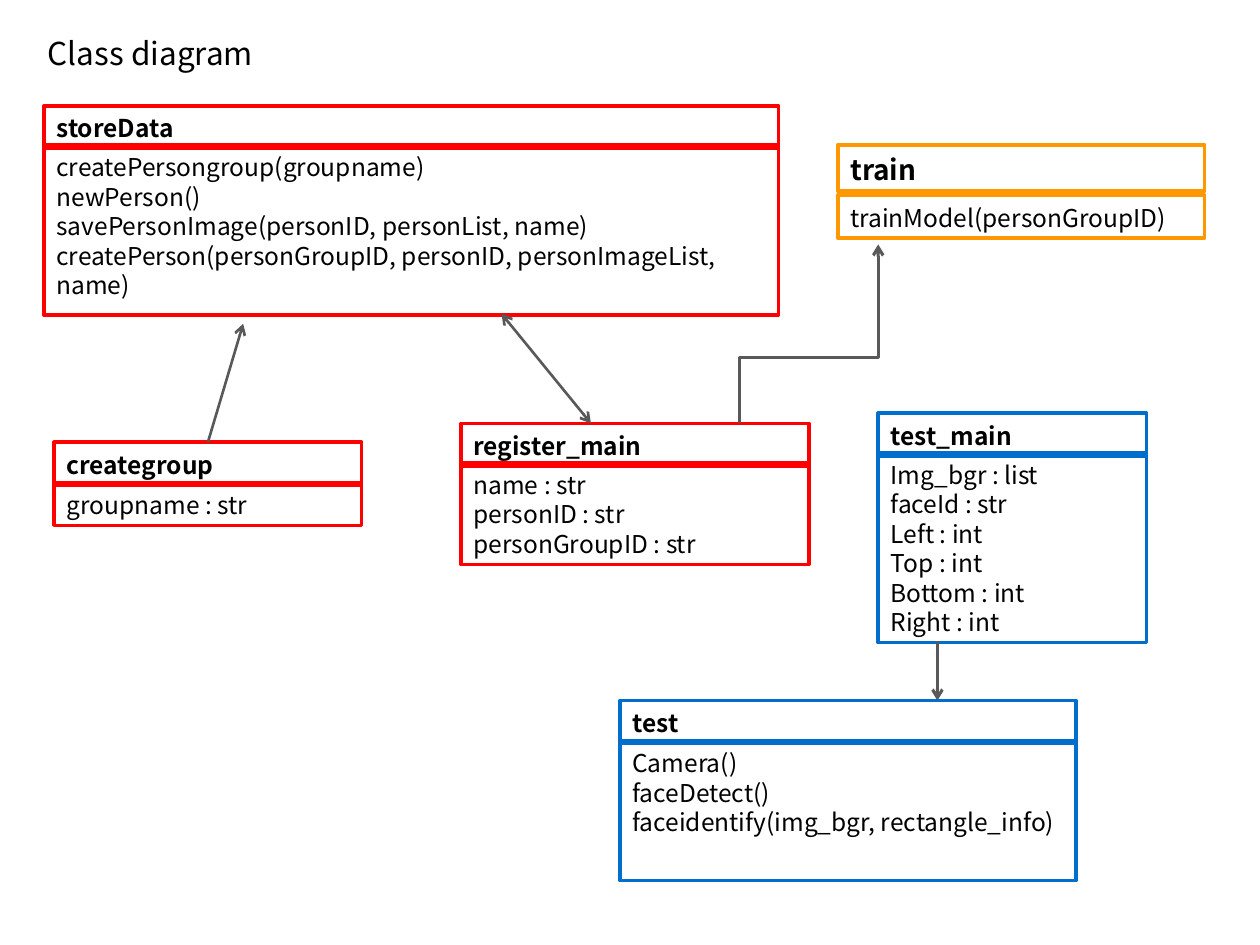
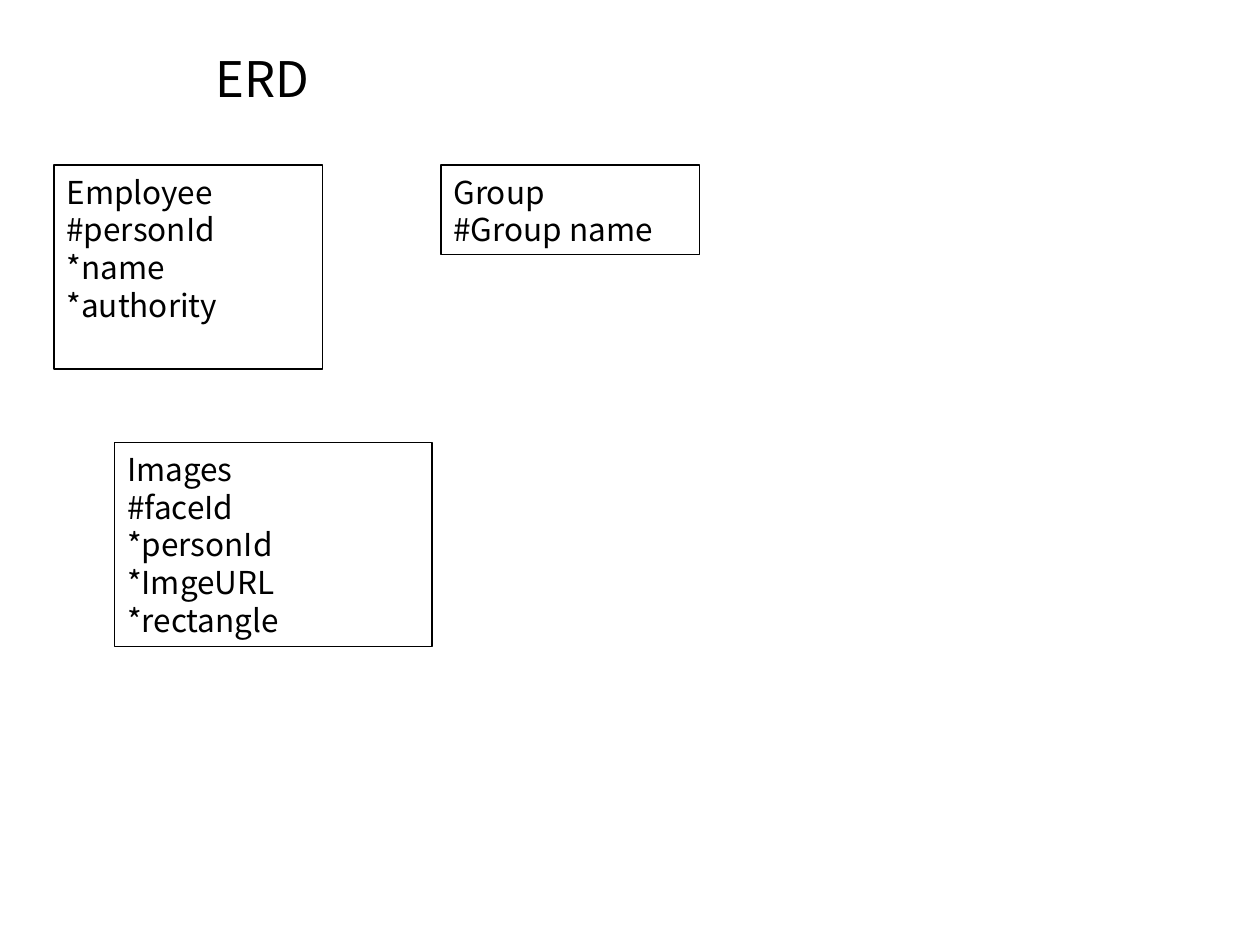
from dataclasses import dataclass
from typing import NamedTuple

from lxml.etree import SubElement
from pptx import Presentation
from pptx.dml.color import RGBColor
from pptx.enum.shapes import MSO_CONNECTOR, MSO_SHAPE
from pptx.enum.text import MSO_ANCHOR, MSO_AUTO_SIZE, PP_ALIGN
from pptx.oxml.ns import qn
from pptx.shapes.connector import Connector
from pptx.slide import Slide
from pptx.text.text import TextFrame
from pptx.util import Inches, Pt


@dataclass(frozen=True)
class Theme:
    font: str = "Noto Sans CJK KR"
    text: str = "000000"
    register: str = "FF0000"
    train: str = "FF9700"
    test: str = "006ECD"
    arrow: str = "595959"
    small: float = 14
    medium: float = 16
    large: float = 18
    huge: float = 28
    leading: float = 1.2


class Box(NamedTuple):
    """Left, top, width and height in grid cells."""
    x: float
    y: float
    w: float
    h: float


@dataclass(frozen=True)
class ClassCard:
    name: str
    color: str
    head: Box
    body_y: float
    body_h: float
    members: tuple[str, ...]
    name_size: float = 14
    line: float = 2


@dataclass(frozen=True)
class Entity:
    box: Box
    rows: tuple[str, ...]


@dataclass(frozen=True)
class Arrow:
    start: tuple[float, float]
    end: tuple[float, float]
    width: float = 1.5
    both: bool = False
    bend: float = 0  # share of the way at which an upright elbow turns


THEME = Theme()
WIDTH, HEIGHT = Inches(10), Inches(7.5)
COLUMNS = 100  # square cells, so 75 rows
CELL = WIDTH // COLUMNS
TITLE_ONLY = 5

CLASSES = (
    ClassCard("creategroup", THEME.register, Box(4.3, 35.1, 24.4, 3.4), 38.3, 3.4,
              ("groupname : str",)),
    ClassCard("register_main", THEME.register, Box(36.6, 33.6, 27.6, 3.4), 36.7, 8.1,
              ("name : str", "personID : str", "personGroupID : str")),
    ClassCard("storeData", THEME.register, Box(3.5, 8.4, 58.3, 3.4), 11.5, 13.5,
              ("createPersongroup(groupname)", "newPerson()",
               "savePersonImage(personID, personList, name)",
               "createPerson(personGroupID, personID, personImageList, name)")),
    ClassCard("test", THEME.test, Box(49.2, 55.6, 36.2, 3.4), 58.8, 11.1,
              ("Camera()", "faceDetect()", "faceidentify(img_bgr, rectangle_info)")),
    ClassCard("train", THEME.train, Box(66.5, 11.5, 29.1, 3.7), 15.5, 3.4,
              ("trainModel(personGroupID)",), THEME.medium, 2.25),
    ClassCard("test_main", THEME.test, Box(69.7, 32.8, 21.3, 3.4), 35.9, 15.1,
              ("Img_bgr : list", "faceId : str", "Left : int", "Top : int",
               "Bottom : int", "Right : int")),
)
ARROWS = (
    Arrow((16.5, 35.1), (19.3, 25.7)),
    Arrow((39.8, 24.9), (46.9, 33.6), both=True),
    Arrow((58.7, 33.6), (69.7, 19.4), 1.75, bend=0.37),
    Arrow((74.4, 50.9), (74.4, 55.6), 1.75),
)
ENTITIES = (
    Entity(Box(4.3, 13.1, 21.3, 16.2), ("Employee", "#personId", "*name", "*authority")),
    Entity(Box(35, 13.1, 20.5, 7.1), ("Group", "#Group name")),
    Entity(Box(9.1, 35.1, 25.2, 16.2),
           ("Images", "#faceId", "*personId", "*ImgeURL", "*rectangle")),
)


def cells(*values: float) -> list[int]:
    return [round(v * CELL) for v in values]


def write(tf: TextFrame, lines: tuple[str, ...], size: float, bold: bool = False,
          align: PP_ALIGN = PP_ALIGN.LEFT, anchor: MSO_ANCHOR = MSO_ANCHOR.TOP) -> None:
    frame = {"word_wrap": True, "auto_size": MSO_AUTO_SIZE.NONE, "vertical_anchor": anchor,
             "margin_left": Inches(0.1), "margin_right": Inches(0.1),
             "margin_top": Inches(0.06), "margin_bottom": Inches(0.04)}
    for key, value in frame.items():
        setattr(tf, key, value)
    for i, line in enumerate(lines):
        p = tf.paragraphs[0] if i == 0 else tf.add_paragraph()
        p.alignment = align
        p.line_spacing = Pt(size * THEME.leading)
        r = p.add_run()
        r.text = line
        for key, value in {"name": THEME.font, "size": Pt(size), "bold": bold}.items():
            setattr(r.font, key, value)
        r.font.color.rgb = RGBColor.from_string(THEME.text)


def add_titled_slide(prs: Presentation, title: str, box: Box, size: float,
                     align: PP_ALIGN, anchor: MSO_ANCHOR) -> Slide:
    s = prs.slides.add_slide(prs.slide_layouts[TITLE_ONLY])
    sp = s.shapes.title
    for key, value in zip(("left", "top", "width", "height"), cells(*box)):
        setattr(sp, key, value)
    write(sp.text_frame, (title,), size, align=align, anchor=anchor)
    return s


def add_box(s: Slide, box: Box, lines: tuple[str, ...], color: str, width: float,
            size: float, bold: bool = False) -> None:
    sp = s.shapes.add_shape(MSO_SHAPE.RECTANGLE, *cells(*box))
    sp.shadow.inherit = False
    sp.fill.background()
    sp.line.color.rgb = RGBColor.from_string(color)
    sp.line.width = Pt(width)
    write(sp.text_frame, lines, size, bold)


def add_class(s: Slide, card: ClassCard) -> None:
    add_box(s, card.head, (card.name,), card.color, card.line, card.name_size, True)
    body = card.head._replace(y=card.body_y, h=card.body_h)
    add_box(s, body, card.members, card.color, card.line, THEME.small)


def add_elbow(s: Slide, arrow: Arrow) -> Connector:
    """Elbow that leaves and arrives upright: a flipped one turned by 90 degrees."""
    (x1, y1), (x2, y2) = arrow.start, arrow.end
    cx, cy = (x1 + x2) / 2, (y1 + y2) / 2
    dx, dy = (y1 - y2) / 2, (x2 - x1) / 2
    c = s.shapes.add_connector(MSO_CONNECTOR.ELBOW,
                               *cells(cx + dx, cy + dy, cx - dx, cy - dy))
    sppr = c._element.spPr
    sppr.find(qn("a:xfrm")).set("rot", str(90 * 60000))
    guides = sppr.find(qn("a:prstGeom")).find(qn("a:avLst"))
    SubElement(guides, qn("a:gd"), name="adj1", fmla=f"val {round(arrow.bend * 100000)}")
    return c


def add_arrow(s: Slide, arrow: Arrow) -> None:
    if arrow.bend:
        c = add_elbow(s, arrow)
    else:
        c = s.shapes.add_connector(MSO_CONNECTOR.STRAIGHT, *cells(*arrow.start, *arrow.end))
    c.line.color.rgb = RGBColor.from_string(THEME.arrow)
    c.line.width = Pt(arrow.width)
    sppr = c._element.spPr
    for end in ("a:headEnd", "a:tailEnd") if arrow.both else ("a:tailEnd",):
        SubElement(sppr.find(qn("a:ln")), qn(end), type="arrow")
    SubElement(sppr, qn("a:effectLst"))


def main() -> None:
    prs = Presentation()
    prs.slide_width, prs.slide_height = WIDTH, HEIGHT

    # Class diagram
    s = add_titled_slide(prs, "Class diagram", Box(2.8, 2.1, 30.7, 4), THEME.large,
                         PP_ALIGN.LEFT, MSO_ANCHOR.TOP)
    for card in CLASSES:
        add_class(s, card)
    for arrow in ARROWS:
        add_arrow(s, arrow)

    # Entity relationship diagram
    s = add_titled_slide(prs, "ERD", Box(5, 3, 31.6, 6.1), THEME.huge,
                         PP_ALIGN.CENTER, MSO_ANCHOR.MIDDLE)
    for entity in ENTITIES:
        add_box(s, entity.box, entity.rows, THEME.text, 0.75, THEME.large)

    prs.save("out.pptx")


if __name__ == "__main__":
    main()
